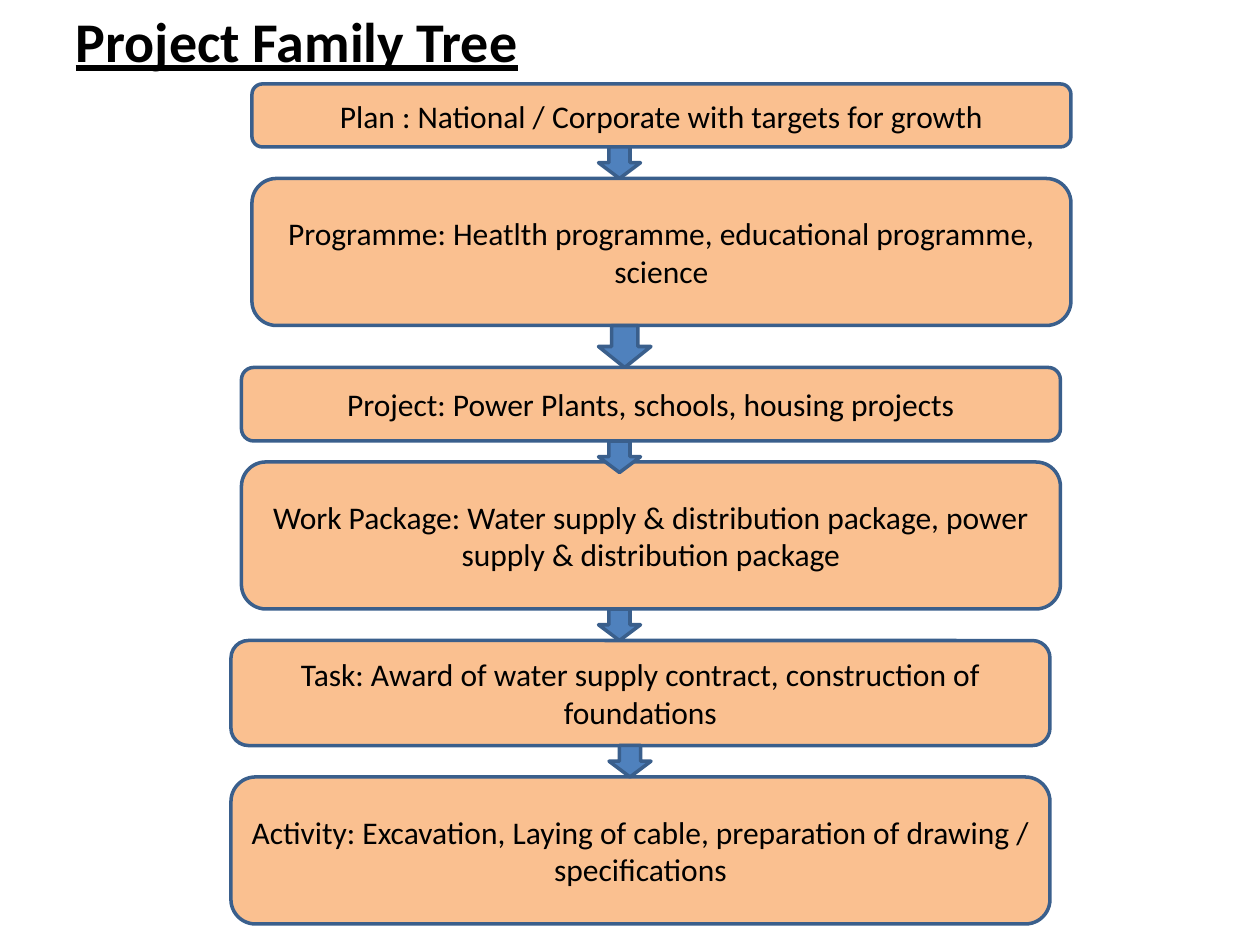
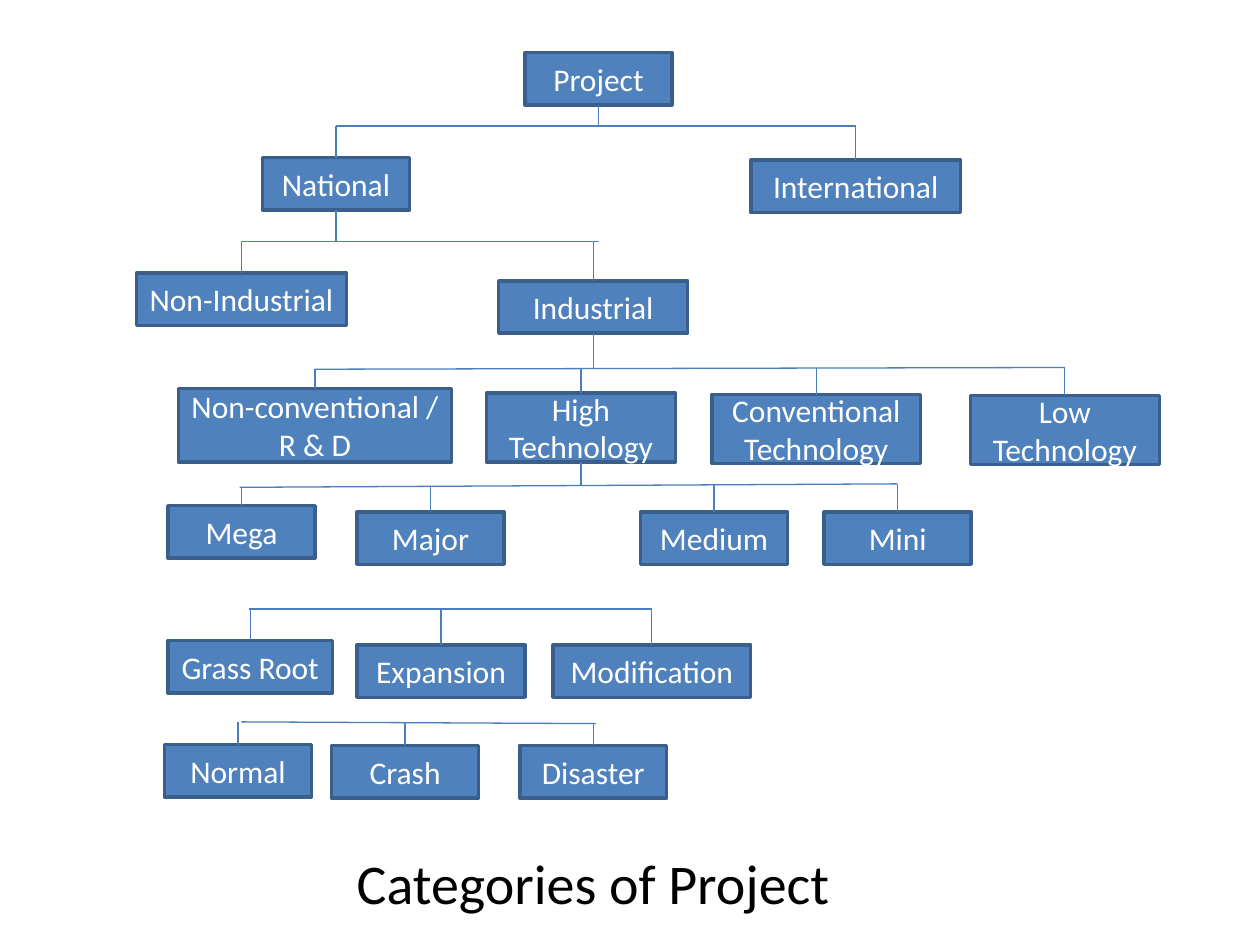
"""Build two slides: the project family tree and the categories of project."""
from dataclasses import dataclass

from lxml.etree import SubElement
from pptx import Presentation
from pptx.dml.color import RGBColor
from pptx.enum.shapes import MSO_CONNECTOR, MSO_SHAPE
from pptx.enum.text import MSO_ANCHOR, MSO_AUTO_SIZE, PP_ALIGN
from pptx.oxml.ns import qn
from pptx.util import Pt


@dataclass(frozen=True)
class Theme:
    """Colours, font and type sizes shared by the slides."""
    font: str = "Calibri"
    ink: RGBColor = RGBColor(0, 0, 0)
    paper: RGBColor = RGBColor(255, 255, 255)
    peach: RGBColor = RGBColor(0xFA, 0xC0, 0x90)
    blue: RGBColor = RGBColor(0x4F, 0x81, 0xBD)
    edge: RGBColor = RGBColor(0x3A, 0x5F, 0x8C)
    wire: RGBColor = RGBColor(0x4B, 0x7E, 0xBC)
    title_size: Pt = Pt(32)
    body_size: Pt = Pt(18)
    edge_width: Pt = Pt(2)
    wire_width: Pt = Pt(0.75)


THEME = Theme()
TITLE_ONLY = 5
TITLE_HEIGHT = 46

STEP_WIDTH = 468
STEPS = [
    ("Plan : National / Corporate with targets for growth", 12, 36, 18),
    ("Programme: Heatlth programme, educational programme, science", 12, 84, 24),
    ("Project: Power Plants, schools, housing projects", 6, 42, 12),
    ("Work Package: Water supply & distribution package, power supply & distribution package",
     6, 84, 18),
    ("Task: Award of water supply contract, construction of foundations", 0, 60, 18),
    ("Activity: Excavation, Laying of cable, preparation of drawing / specifications", 0, 84, 0),
]
ARROW_LEFTS = [210, 210, 210, 210, 216]

ROOT = ("Project", 222, 0, 84, 30)
BRANCHES = [
    ("Project", (114, 42, 411, 42), [
        ("National", 72, 60, 84, 30),
        ("International", 351, 61.5, 120, 30)]),
    ("National", (60, 108, 264, 108), [
        ("Non-Industrial", 0, 126, 120, 30),
        ("Industrial", 207, 130.5, 108, 30)]),
    ("Industrial", (102, 181, 530.5, 180), [
        ("Non-conventional / R & D", 24, 192, 156, 42),
        ("High Technology", 200, 194.5, 108, 39.5),
        ("Conventional Technology", 329, 195.5, 119, 39.5),
        ("Low Technology", 476.5, 196, 108, 39.5)]),
    ("High Technology", (59, 248.5, 434.5, 246.5), [
        ("Mega", 18, 259, 84, 30),
        ("Major", 126, 262.5, 84, 30),
        ("Medium", 288, 262.5, 84, 30),
        ("Mini", 393, 262.5, 84, 30)]),
    (None, (64.5, 318, 294.5, 318), [
        ("Grass Root", 18, 336, 94, 30),
        ("Expansion", 126, 338.5, 96, 30),
        ("Modification", 238, 338.5, 113, 30)]),
    (None, (60, 382.5, 262.5, 383.5), [
        ("Normal", 16, 395.5, 84, 30),
        ("Crash", 111.5, 396, 84, 30),
        ("Disaster", 219, 396, 84, 30)]),
]


def apply(target, values):
    """Set each named attribute of the target."""
    for name, value in values.items():
        setattr(target, name, value)


def write(sp, text, size, color, align=PP_ALIGN.CENTER, anchor=MSO_ANCHOR.MIDDLE, **font):
    """Put one formatted paragraph in a shape."""
    tf = sp.text_frame
    apply(tf, {"word_wrap": True, "auto_size": MSO_AUTO_SIZE.NONE, "vertical_anchor": anchor})
    p = tf.paragraphs[0]
    p.alignment = align
    r = p.add_run()
    r.text = text
    apply(r.font, {"name": THEME.font, "size": size, **font})
    r.font.color.rgb = color


def add_block(s, kind, box, fill):
    """Add a filled, outlined preset shape."""
    sp = s.shapes.add_shape(kind, *map(Pt, box))
    sp.shadow.inherit = False
    sp.fill.solid()
    sp.fill.fore_color.rgb = fill
    sp.line.color.rgb = THEME.edge
    sp.line.width = THEME.edge_width
    return sp


def add_wire(s, x1, y1, x2, y2):
    """Add a thin straight connector."""
    line = s.shapes.add_connector(MSO_CONNECTOR.STRAIGHT, *map(Pt, (x1, y1, x2, y2)))
    line.line.color.rgb = THEME.wire
    line.line.width = THEME.wire_width
    SubElement(line._element.spPr, qn("a:effectLst"))


def add_titled_slide(prs, title, box, **style):
    """Add a slide and place its title."""
    s = prs.slides.add_slide(prs.slide_layouts[TITLE_ONLY])
    sp = s.shapes.title
    apply(sp, dict(zip(("left", "top", "width", "height"), map(Pt, box))))
    write(sp, title, THEME.title_size, THEME.ink, anchor=MSO_ANCHOR.TOP, **style)
    return s


def add_family_steps(s, left, top):
    """Stack the steps downwards, then lay the arrows over the gaps."""
    gaps = []
    for text, indent, height, gap in STEPS:
        sp = add_block(s, MSO_SHAPE.ROUNDED_RECTANGLE,
                       (left + indent, top, STEP_WIDTH, height), THEME.peach)
        write(sp, text, THEME.body_size, THEME.ink)
        gaps.append((top + height, gap))
        top += height + gap
    for x, (y, gap) in zip(ARROW_LEFTS, gaps):
        height = max(gap, 18)
        add_block(s, MSO_SHAPE.DOWN_ARROW, (left + x, y, height + 6, height), THEME.blue)


def add_category_tree(s, left, top):
    """Draw the boxes and join each group to its bus line and parent."""
    boxes = {}
    for text, x, y, w, h in [ROOT] + [box for _, _, group in BRANCHES for box in group]:
        boxes[text] = (left + x, top + y, w, h)
        sp = add_block(s, MSO_SHAPE.RECTANGLE, boxes[text], THEME.blue)
        write(sp, text, THEME.body_size, THEME.paper)
    for parent, (x1, y1, x2, y2), group in BRANCHES:
        x1, x2, y1, y2 = left + x1, left + x2, top + y1, top + y2
        add_wire(s, x1, y1, x2, y2)
        for text in [parent] * bool(parent) + [box[0] for box in group]:
            x, y, w, h = boxes[text]
            centre = x + w / 2
            bus_y = y1 + (y2 - y1) * (centre - x1) / (x2 - x1)
            add_wire(s, centre, bus_y, centre, y + h if text == parent else y)


def main():
    """Build and save the presentation."""
    prs = Presentation()
    prs.slide_width, prs.slide_height = Pt(720), Pt(540)
    s = add_titled_slide(prs, "Project Family Tree", (36, 0, 648, TITLE_HEIGHT),
                         align=PP_ALIGN.LEFT, bold=True, underline=True)
    add_family_steps(s, 132, 48)
    s = add_titled_slide(prs, "Categories of Project", (120, 481, 438, TITLE_HEIGHT))
    add_category_tree(s, 78, 30)
    prs.save("out.pptx")


if __name__ == "__main__":
    main()
